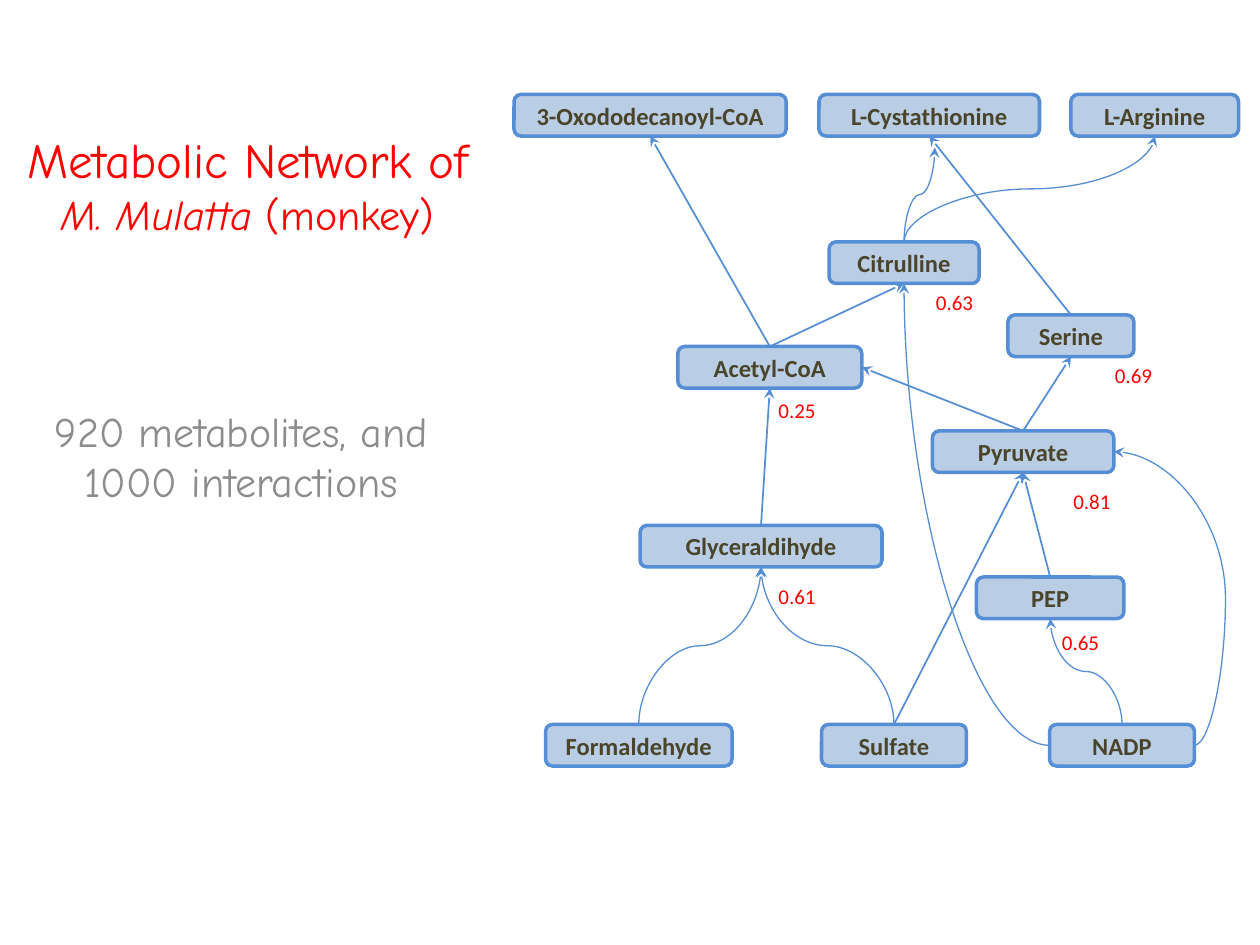
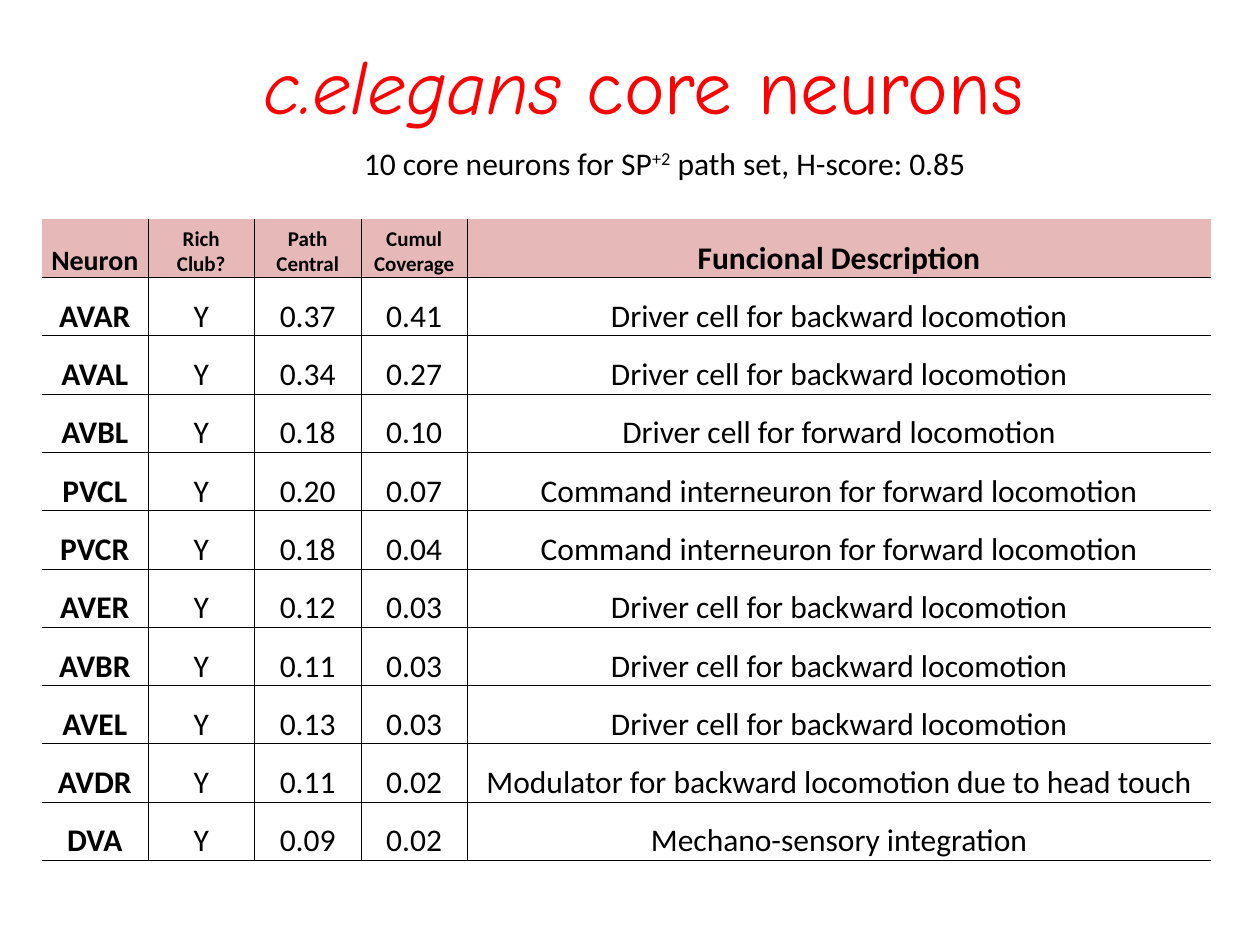
"""Build two slides: a metabolic network diagram and a table of core neurons."""
from lxml.etree import SubElement
from pptx import Presentation
from pptx.dml.color import RGBColor
from pptx.enum.shapes import MSO_CONNECTOR as Link, MSO_SHAPE as Shape
from pptx.enum.text import MSO_ANCHOR as Anchor, MSO_AUTO_SIZE as AutoSize, PP_ALIGN as Align
from pptx.oxml.ns import qn
from pptx.util import Inches, Pt

RED = RGBColor(0xFF, 0x00, 0x00)
GRAY = RGBColor(0x8C, 0x8C, 0x8C)
BLACK = RGBColor(0x00, 0x00, 0x00)
OLIVE = RGBColor(0x4A, 0x45, 0x2A)
PALE_BLUE = RGBColor(0xB9, 0xCD, 0xE5)
BLUE = RGBColor(0x55, 0x8E, 0xD5)
PINK = RGBColor(0xE6, 0xB9, 0xB8)

TITLE_FORMAT = {"name": "Comic Neue", "color": RED}
NOTE_FORMAT = {"name": "Comic Neue", "color": GRAY, "size": 24}
NODE_FORMAT = {"name": "Calibri", "color": OLIVE, "size": 14, "bold": True}
SCORE_FORMAT = {"name": "Calibri", "color": RED, "size": 12}
BODY_FORMAT = {"name": "Calibri", "color": BLACK, "size": 18}

TOP, LEFT, BOTTOM, RIGHT = range(4)
NODE_HEIGHT = 0.33
NODES = {
    "3-Oxododecanoyl-CoA": (4.08, 0.75, 2.16),
    "L-Cystathionine": (6.5, 0.75, 1.75),
    "L-Arginine": (8.5, 0.75, 1.33),
    "Citrulline": (6.58, 1.92, 1.19),
    "Serine": (8, 2.5, 1),
    "Acetyl-CoA": (5.38, 2.75, 1.46),
    "Pyruvate": (7.4, 3.42, 1.44),
    "Glyceraldihyde": (5.08, 4.17, 1.92),
    "PEP": (7.75, 4.58, 1.17),
    "Formaldehyde": (4.33, 5.75, 1.48),
    "Sulfate": (6.52, 5.75, 1.15),
    "NADP": (8.33, 5.75, 1.15),
}
STRAIGHT_LINKS = [
    ("Acetyl-CoA", "3-Oxododecanoyl-CoA", BOTTOM),
    ("Acetyl-CoA", "Citrulline", BOTTOM),
    ("Serine", "L-Cystathionine", BOTTOM),
    ("Pyruvate", "Serine", BOTTOM),
    ("Glyceraldihyde", "Acetyl-CoA", BOTTOM),
    ("PEP", "Pyruvate", BOTTOM),
    ("Sulfate", "Pyruvate", BOTTOM),
    ("Pyruvate", "Acetyl-CoA", RIGHT),
]
RISING_CURVES = [
    ("Citrulline", "L-Arginine"),
    ("NADP", "PEP"),
    ("Formaldehyde", "Glyceraldihyde"),
    ("Sulfate", "Glyceraldihyde"),
]
CYSTATHIONINE_TIP = (7.42, 1.17)
SCORES = [
    ("0.81", 8.42, 3.83), ("0.69", 8.75, 2.83), ("0.25", 6.08, 3.11),
    ("0.61", 6.08, 4.58), ("0.65", 8.33, 4.95), ("0.63", 7.33, 2.25),
]

HEADERS = [
    (["Neuron"], 16), (["Rich", "Club?"], 12), (["Path", "Central"], 12),
    (["Cumul", "Coverage"], 12), (["Funcional Description"], 18),
]
BACKWARD = "Driver cell for backward locomotion"
COMMAND = "Command interneuron for forward locomotion"
NEURONS = [
    ("AVAR", "Y", "0.37", "0.41", BACKWARD),
    ("AVAL", "Y", "0.34", "0.27", BACKWARD),
    ("AVBL", "Y", "0.18", "0.10", "Driver cell for forward locomotion"),
    ("PVCL", "Y", "0.20", "0.07", COMMAND),
    ("PVCR", "Y", "0.18", "0.04", COMMAND),
    ("AVER", "Y", "0.12", "0.03", BACKWARD),
    ("AVBR", "Y", "0.11", "0.03", BACKWARD),
    ("AVEL", "Y", "0.13", "0.03", BACKWARD),
    ("AVDR", "Y", "0.11", "0.02", "Modulator for backward locomotion due to head touch"),
    ("DVA", "Y", "0.09", "0.02", "Mechano-sensory integration"),
]
TABLE_AREA = (0.33, 1.74, 9.28, 5.09)
DESCRIPTION_WIDTH = 5.9


def inches(values):
    return [Inches(value) for value in values]


def write(frame, paragraphs, base, align=Align.CENTER):
    """Fill a frame from lists of (text, format changes) spans."""
    for index, spans in enumerate(paragraphs):
        para = frame.paragraphs[0] if index == 0 else frame.add_paragraph()
        para.alignment = align
        for text, changes in spans:
            span = para.add_run()
            span.text = text
            for key, value in {**base, **changes}.items():
                if key == "color":
                    span.font.color.rgb = value
                elif key == "baseline":
                    span.font._element.set("baseline", str(value))
                else:
                    setattr(span.font, key, Pt(value) if key == "size" else value)


def add_text(page, area, paragraphs, base, align=Align.CENTER, anchor=Anchor.TOP, wrap=True):
    frame = page.shapes.add_textbox(*inches(area)).text_frame
    frame.word_wrap = wrap
    frame.vertical_anchor = anchor
    frame.auto_size = AutoSize.NONE if wrap else AutoSize.SHAPE_TO_FIT_TEXT
    write(frame, paragraphs, base, align)


def add_node(page, name):
    left, top, width = NODES[name]
    box = page.shapes.add_shape(Shape.ROUNDED_RECTANGLE, *inches((left, top, width, NODE_HEIGHT)))
    box.shadow.inherit = False
    box.fill.solid()
    box.fill.fore_color.rgb = PALE_BLUE
    box.line.color.rgb = BLUE
    box.line.width = Pt(2)
    box.text_frame.word_wrap = True
    box.text_frame.vertical_anchor = Anchor.MIDDLE
    write(box.text_frame, [[(name, {})]], NODE_FORMAT)
    return box


def site(name, side):
    left, top, width = NODES[name]
    across = {LEFT: 0, RIGHT: 1}.get(side, 0.5)
    down = {TOP: 0, BOTTOM: 1}.get(side, 0.5)
    return left + across * width, top + down * NODE_HEIGHT


def add_arrow(page, kind, begin, end, weight):
    arrow = page.shapes.add_connector(kind, *inches(begin + end))
    arrow.line.color.rgb = BLUE
    arrow.line.width = Pt(weight)
    properties = arrow.element.spPr
    SubElement(properties.find(qn("a:ln")), qn("a:tailEnd"), type="stealth")
    SubElement(properties, qn("a:effectLst"))
    return arrow


def add_curve(page, begin, end, turn, preset="curvedConnector3", bend=0.5):
    """Draw a curve whose frame is turned clockwise by the given degrees."""
    run, rise = end[0] - begin[0], end[1] - begin[1]
    width, height = {0: (run, rise), 90: (rise, -run), 180: (-run, -rise), 270: (-rise, run)}[turn]
    middle_x, middle_y = (begin[0] + end[0]) / 2, (begin[1] + end[1]) / 2
    curve = add_arrow(page, Link.CURVE, (middle_x - width / 2, middle_y - height / 2),
                      (middle_x + width / 2, middle_y + height / 2), 0.75)
    properties = curve.element.spPr
    properties.find(qn("a:xfrm")).set("rot", str(turn * 60000))
    geometry = properties.find(qn("a:prstGeom"))
    geometry.set("prst", preset)
    if preset == "curvedConnector3":
        guides = geometry.find(qn("a:avLst"))
        if guides is None:
            guides = SubElement(geometry, qn("a:avLst"))
        SubElement(guides, qn("a:gd"), name="adj1", fmla=f"val {round(bend * 100000)}")


def add_rising_curve(page, begin, end):
    add_curve(page, begin, end, 90 if end[0] > begin[0] else 270)


def build_network(page):
    boxes = {name: add_node(page, name) for name in NODES}
    for source, target, side in STRAIGHT_LINKS:
        arrow = add_arrow(page, Link.STRAIGHT, site(source, TOP), site(target, side), 1)
        arrow.begin_connect(boxes[source], TOP)
        arrow.end_connect(boxes[target], side)
    for source, target in RISING_CURVES:
        add_rising_curve(page, site(source, TOP), site(target, BOTTOM))
    add_rising_curve(page, site("Citrulline", TOP), CYSTATHIONINE_TIP)
    add_curve(page, site("NADP", LEFT), site("Citrulline", BOTTOM), 180, "curvedConnector2")
    add_curve(page, site("NADP", RIGHT), site("Pyruvate", RIGHT), 0, bend=-0.385)
    title = [
        [("Metabolic Network of", {"size": 28})],
        [("M. Mulatta", {"size": 24, "italic": True}), (" (monkey)", {"size": 24})],
    ]
    add_text(page, (0.08, 0.5, 3.77, 1.92), title, TITLE_FORMAT, anchor=Anchor.MIDDLE)
    add_text(page, (0, 3.17, 3.83, 2.5), [[("920 metabolites, and 1000 interactions", {})]], NOTE_FORMAT)
    for score, left, top in SCORES:
        add_text(page, (left, top, 0.5, 0.3), [[(score, {})]], SCORE_FORMAT, Align.LEFT, wrap=False)


def set_borders(cell, visible):
    for edge, shown in visible.items():
        line = SubElement(cell._tc.get_or_add_tcPr(), qn(f"a:ln{edge}"), w=str(Pt(0.5)))
        if shown:
            fill = SubElement(line, qn("a:solidFill"))
            SubElement(fill, qn("a:srgbClr"), val=str(BLACK))
        else:
            SubElement(line, qn("a:noFill"))


def build_neurons(page):
    title = [[("c.elegans ", {"italic": True}), ("core neurons", {})]]
    add_text(page, (0.61, 0.04, 9, 1.25), title, {**TITLE_FORMAT, "size": 44}, anchor=Anchor.MIDDLE)
    subtitle = [[("10 core neurons for SP", {}), ("+2", {"baseline": 30000}),
                 (" path set, H-score: 0.85", {})]]
    add_text(page, (2.67, 1.09, 5.21, 0.4), subtitle, BODY_FORMAT)

    rows = [[(lines, {"size": size, "bold": True}) for lines, size in HEADERS]]
    rows += [[([text], {"bold": column == 0}) for column, text in enumerate(neuron)]
             for neuron in NEURONS]
    last = len(HEADERS) - 1
    table = page.shapes.add_table(len(rows), len(HEADERS), *inches(TABLE_AREA)).table
    for index, column in enumerate(table.columns):
        narrow = (TABLE_AREA[2] - DESCRIPTION_WIDTH) / last
        column.width = Inches(DESCRIPTION_WIDTH if index == last else narrow)
    for row_index, row in enumerate(rows):
        table.rows[row_index].height = Inches(TABLE_AREA[3] / len(rows))
        for column_index, (lines, changes) in enumerate(row):
            cell = table.cell(row_index, column_index)
            cell.margin_left = cell.margin_right = cell.margin_top = Inches(0.01)
            cell.margin_bottom = 0
            cell.vertical_anchor = Anchor.BOTTOM
            set_borders(cell, {"L": column_index > 0, "R": column_index < last,
                               "T": row_index > 0, "B": True})
            if row_index == 0:
                cell.fill.solid()
                cell.fill.fore_color.rgb = PINK
            else:
                cell.fill.background()
            write(cell.text_frame, [[(line, changes)] for line in lines], BODY_FORMAT)


def main():
    deck = Presentation()
    deck.slide_width, deck.slide_height = Inches(10), Inches(7.5)
    for build in (build_network, build_neurons):
        build(deck.slides.add_slide(deck.slide_layouts[6]))
    deck.save("out.pptx")


if __name__ == "__main__":
    main()
